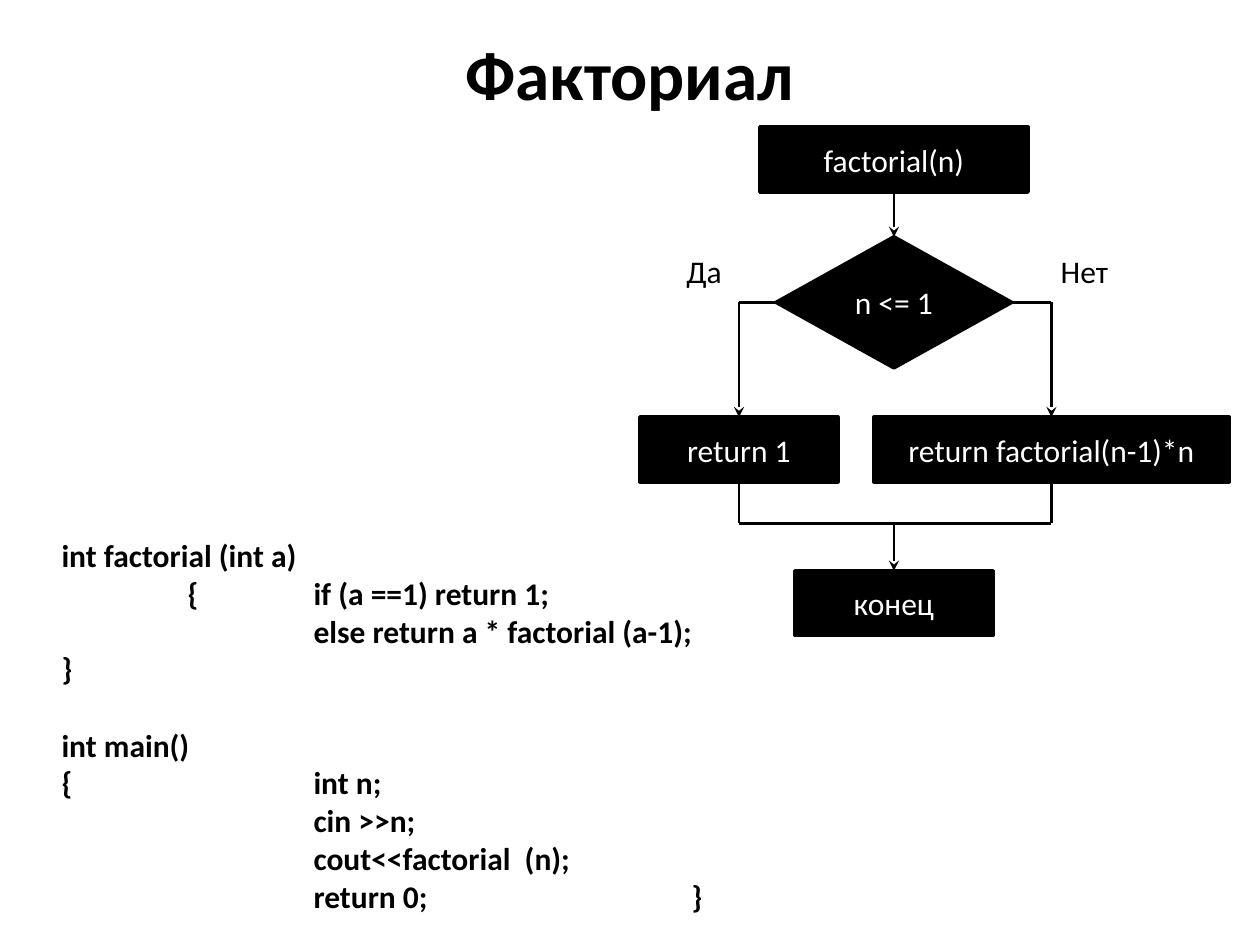
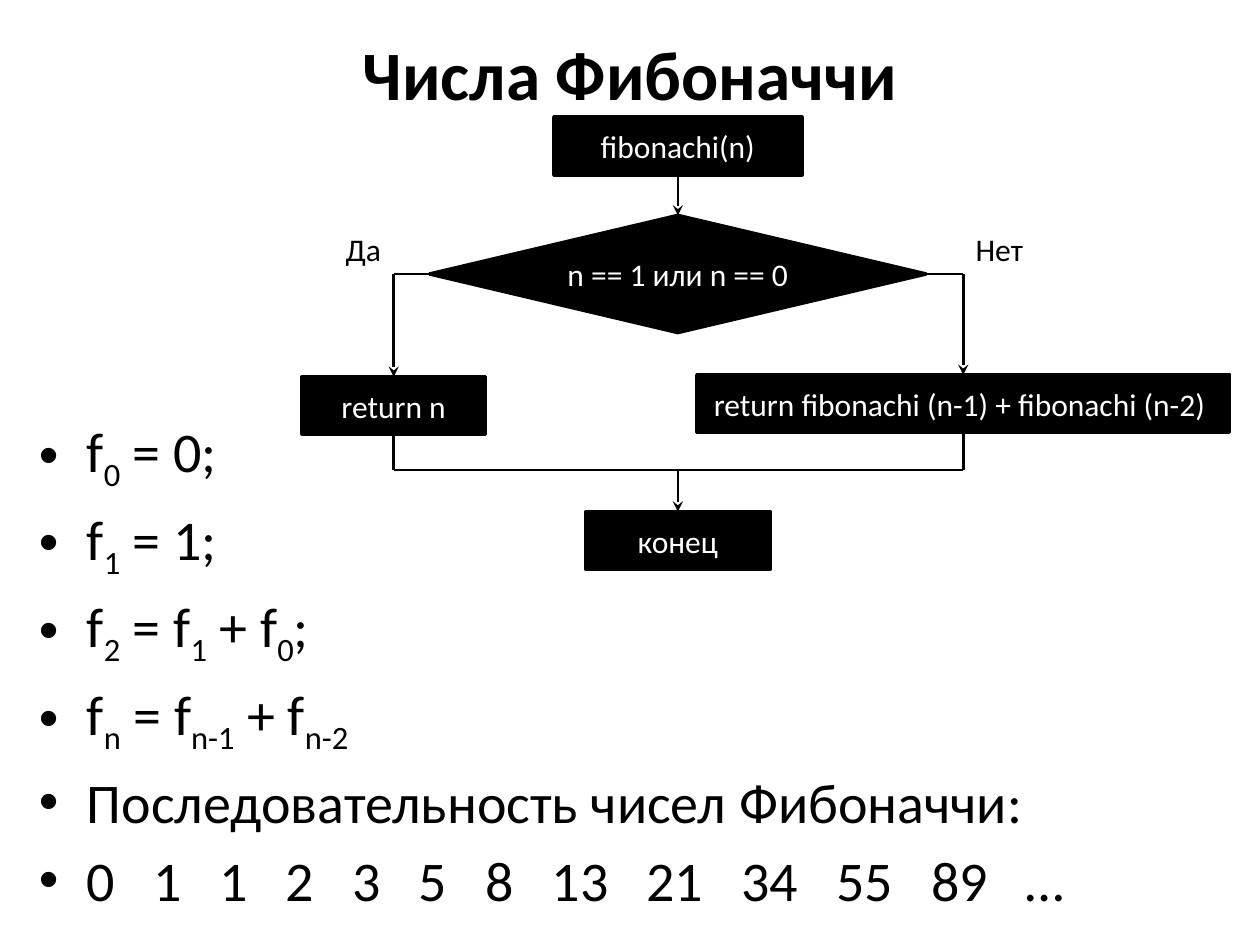
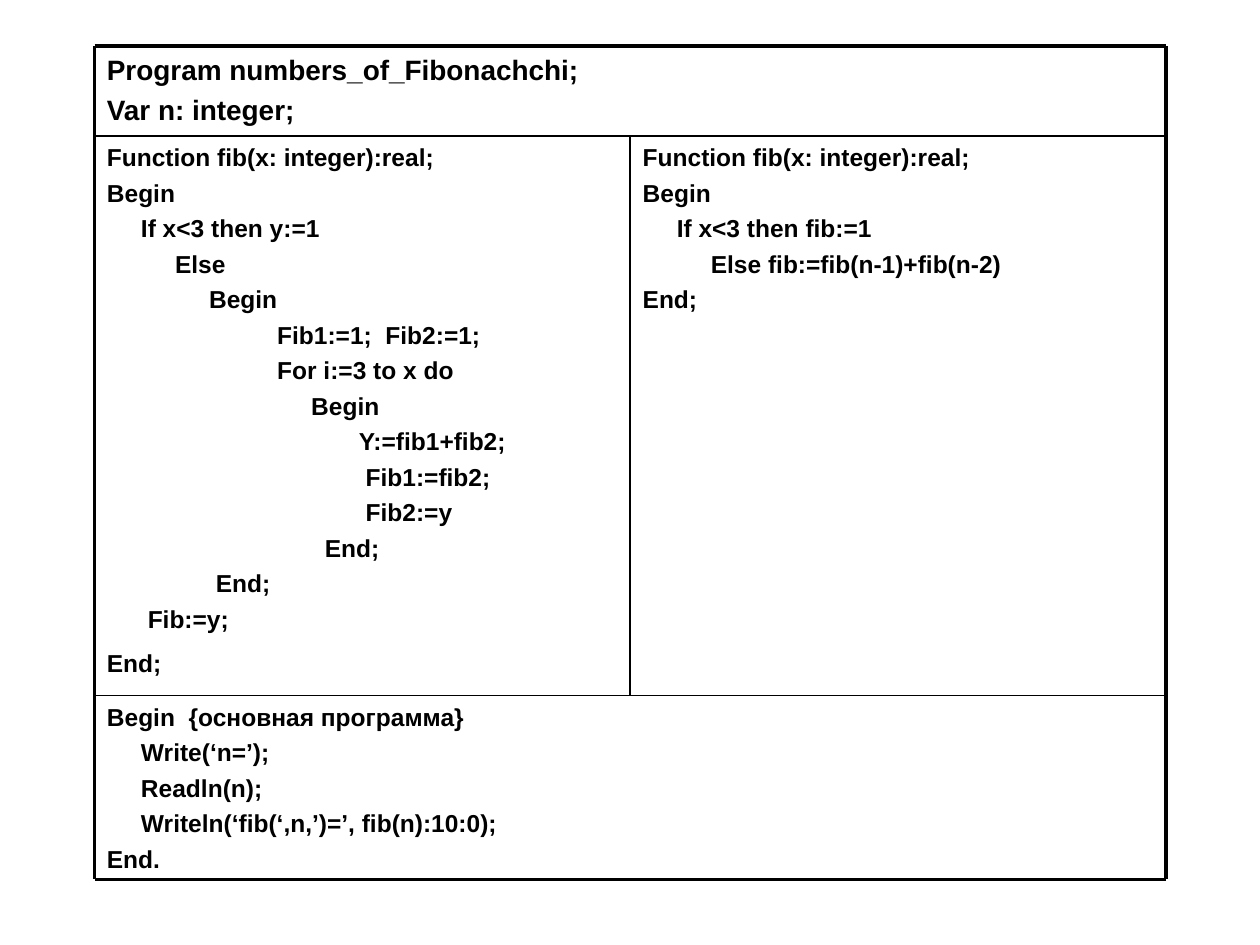
from dataclasses import dataclass

from lxml import etree
from pptx import Presentation
from pptx.dml.color import RGBColor
from pptx.enum.shapes import MSO_CONNECTOR, MSO_SHAPE
from pptx.enum.text import MSO_ANCHOR, PP_ALIGN
from pptx.oxml.ns import qn
from pptx.util import Inches, Pt

RECTANGLE = MSO_SHAPE.RECTANGLE
DECISION = MSO_SHAPE.FLOWCHART_DECISION
STRAIGHT = MSO_CONNECTOR.STRAIGHT
LEFT, CENTER = PP_ALIGN.LEFT, PP_ALIGN.CENTER
TOP, MIDDLE = MSO_ANCHOR.TOP, MSO_ANCHOR.MIDDLE
TOP_SIDE, LEFT_SIDE, BOTTOM_SIDE, RIGHT_SIDE = range(4)

COLORS = {"ink": "000000", "paper": "FFFFFF"}
SANS, CODE_FONT = "Calibri", "Arial"
SLIDE_WIDTH, SLIDE_HEIGHT = Inches(10), Inches(7.5)
COLUMN, ROW = SLIDE_WIDTH // 100, SLIDE_HEIGHT // 75
TAB_COLUMNS = range(10, 60, 10)
CODE_SPACE = 0.278
FORMULA_SPACE = 0.226


@dataclass(frozen=True)
class Area:
    left: float
    top: float
    width: float
    height: float

    @property
    def right(self) -> float:
        return self.left + self.width

    @property
    def bottom(self) -> float:
        return self.top + self.height

    @property
    def center(self) -> float:
        return self.left + self.width / 2

    @property
    def middle(self) -> float:
        return self.top + self.height / 2

    def lengths(self) -> tuple[int, int, int, int]:
        return (round(self.left * COLUMN), round(self.top * ROW),
                round(self.width * COLUMN), round(self.height * ROW))


@dataclass(frozen=True)
class Step:
    text: str
    area: Area


@dataclass(frozen=True)
class Flowchart:
    start: Step
    condition: Step
    yes: Step
    no: Step
    finish: Step
    merge_row: float
    label_height: float
    label_shift: float = 0


@dataclass(frozen=True)
class Joint:
    shape: object
    side: int


@dataclass(frozen=True)
class CodeLine:
    text: str
    indent: int = 0
    extra_lead: float = 0


@dataclass(frozen=True)
class Panel:
    area: Area
    size: int
    lines: tuple[CodeLine, ...]


@dataclass(frozen=True)
class Rule:
    begin: tuple[float, float]
    end: tuple[float, float]
    weight: float


TITLE_AREA = Area(2.75, 2.3, 94.5, 7)
FACTORIAL_CODE_AREA = Area(3.9, 42.05, 55.2, 31.3)
FORMULA_AREA = Area(2.1, 32.55, 88.1, 39.2)

FACTORIAL_CHART = Flowchart(
    start=Step("factorial(n)", Area(60.3, 10.1, 21.3, 5.15)),
    condition=Step("n <= 1", Area(61.6, 18.8, 18.7, 10.4)),
    yes=Step("return 1", Area(50.8, 33.1, 15.7, 5.15)),
    no=Step("return factorial(n-1)*n", Area(69.35, 33.1, 28.2, 5.15)),
    finish=Step("конец", Area(63.1, 45.3, 15.7, 5.15)),
    merge_row=41.55,
    label_height=4.5,
    label_shift=0.25,
)
FIBONACCI_CHART = Flowchart(
    start=Step("fibonachi(n)", Area(43.95, 9.3, 19.7, 4.6)),
    condition=Step("n == 1 или n == 0", Area(34.1, 17.1, 39.4, 9.3)),
    yes=Step("return n", Area(23.95, 29.9, 14.6, 4.6)),
    no=Step("return fibonachi (n-1) + fibonachi (n-2) ", Area(55.3, 29.75, 42.3, 4.6)),
    finish=Step("конец", Area(46.5, 40.6, 14.6, 4.6)),
    merge_row=37.3,
    label_height=4,
)

FACTORIAL_FUNCTION = (
    "int factorial (int a)",
    "\t{ \tif (a ==1) return 1;",
    "\t\telse return a * factorial (a-1);\t}",
)
FACTORIAL_MAIN = (
    "int main()",
    "{\t\tint n;",
    "\t\tcin >>n;",
    "\t\tcout<<factorial  (n);",
    "\t\treturn 0;\t\t\t}",
)
FORMULAS = (
    "f_0_ = 0;",
    "f_1_ = 1;",
    "f_2_ = f_1_ + f_0_;",
    "f_n_ = f_n-1_ + f_n-2_",
    "Последовательность чисел Фибоначчи:",
)
SEQUENCE = "0 1 1 2 3 5 8 13 21 34 55 89 …"

FRAME = Area(7.5, 3.65, 85.05, 66.15)
HEADER_ROW, MAIN_ROW = 10.8, 55.2
HALF = FRAME.width / 2
FUNCTION_HEIGHT = MAIN_ROW - HEADER_ROW

PANELS = (
    Panel(Area(FRAME.left, MAIN_ROW, FRAME.width, FRAME.bottom - MAIN_ROW), 14, (
        CodeLine("Begin  {основная программа}"),
        CodeLine("Write(‘n=’);", 5),
        CodeLine("Readln(n);", 5),
        CodeLine("Writeln(‘fib(‘,n,’)=’, fib(n):10:0);", 5),
        CodeLine("End."),
    )),
    Panel(Area(FRAME.center, HEADER_ROW, HALF, FUNCTION_HEIGHT), 14, (
        CodeLine("Function fib(x: integer):real;"),
        CodeLine("Begin"),
        CodeLine("If x<3 then fib:=1", 5),
        CodeLine("Else fib:=fib(n-1)+fib(n-2)", 10),
        CodeLine("End;"),
    )),
    Panel(Area(FRAME.left, HEADER_ROW, HALF, FUNCTION_HEIGHT), 14, (
        CodeLine("Function fib(x: integer):real;"),
        CodeLine("Begin"),
        CodeLine("If x<3 then y:=1", 5),
        CodeLine("Else", 10),
        CodeLine("Begin", 15),
        CodeLine("Fib1:=1;  Fib2:=1;", 25),
        CodeLine("For i:=3 to x do", 25),
        CodeLine("Begin", 30),
        CodeLine("Y:=fib1+fib2;", 37),
        CodeLine("Fib1:=fib2;", 38),
        CodeLine("Fib2:=y", 38),
        CodeLine("End;", 32),
        CodeLine("End;", 16),
        CodeLine("Fib:=y;", 6),
        CodeLine("End;", extra_lead=4.9),
    )),
    Panel(Area(FRAME.left, FRAME.top, FRAME.width, HEADER_ROW - FRAME.top), 16, (
        CodeLine("Program numbers_of_Fibonachchi;"),
        CodeLine("Var n: integer;"),
    )),
)
RULES = (
    *(Rule((FRAME.left, row), (FRAME.right, row), weight)
      for row, weight in ((FRAME.top, 2.25), (HEADER_ROW, 1),
                          (MAIN_ROW, 1), (FRAME.bottom, 2.25))),
    *(Rule((column, FRAME.top), (column, FRAME.bottom), 2.25)
      for column in (FRAME.left, FRAME.right)),
    Rule((FRAME.center, HEADER_ROW), (FRAME.center, MAIN_ROW), 1),
)


def color(name: str) -> RGBColor:
    return RGBColor.from_string(COLORS[name])


def format_runs(paragraph, size: float, ink: str = "ink", bold: bool = False,
                font: str = SANS) -> None:
    for run in paragraph.runs:
        run.font.size = Pt(size)
        run.font.name = font
        run.font.bold = bold
        run.font.color.rgb = color(ink)


def add_text(slide, area: Area, text: str, size: float, bold: bool = False,
             align=LEFT, anchor=TOP, wrap: bool = True):
    frame = slide.shapes.add_textbox(*area.lengths()).text_frame
    frame.word_wrap = wrap
    frame.vertical_anchor = anchor
    frame.text = text
    for paragraph in frame.paragraphs:
        paragraph.alignment = align
        format_runs(paragraph, size, bold=bold)
    return frame


def add_title(slide, text: str) -> None:
    add_text(slide, TITLE_AREA, text, 39.6, True, CENTER, MIDDLE)


def add_block(slide, kind, area: Area, fill: str):
    block = slide.shapes.add_shape(kind, *area.lengths())
    block.shadow.inherit = False
    block.fill.solid()
    block.fill.fore_color.rgb = color(fill)
    return block


def add_step(slide, step: Step, kind=RECTANGLE):
    block = add_block(slide, kind, step.area, "ink")
    block.line.color.rgb = color("ink")
    block.line.width = Pt(2)
    block.text_frame.text = step.text
    paragraph = block.text_frame.paragraphs[0]
    paragraph.alignment = CENTER
    format_runs(paragraph, 18, "paper")
    return block


def add_line(slide, begin: tuple[float, float], end: tuple[float, float],
             weight: float = 1.5, arrow: bool = False,
             leaving: Joint | None = None, entering: Joint | None = None) -> None:
    (x1, y1), (x2, y2) = begin, end
    line = slide.shapes.add_connector(
        STRAIGHT, round(x1 * COLUMN), round(y1 * ROW),
        round(x2 * COLUMN), round(y2 * ROW))
    line.line.color.rgb = color("ink")
    line.line.width = Pt(weight)
    properties = line.element.spPr
    if arrow:
        etree.SubElement(properties.find(qn("a:ln")), qn("a:tailEnd"), type="stealth")
    etree.SubElement(properties, qn("a:effectLst"))
    if leaving:
        line.begin_connect(leaving.shape, leaving.side)
    if entering:
        line.end_connect(entering.shape, entering.side)


def add_flowchart(slide, chart: Flowchart) -> None:
    start = add_step(slide, chart.start)
    finish = add_step(slide, chart.finish)
    condition = add_step(slide, chart.condition, DECISION)
    trunk, fork = chart.condition.area.center, chart.condition.area.middle
    merge = chart.merge_row

    add_line(slide, (trunk, chart.start.area.bottom), (trunk, chart.condition.area.top),
             arrow=True, leaving=Joint(start, BOTTOM_SIDE),
             entering=Joint(condition, TOP_SIDE))
    for step, side, edge in ((chart.yes, LEFT_SIDE, chart.condition.area.left),
                             (chart.no, RIGHT_SIDE, chart.condition.area.right)):
        branch = add_step(slide, step)
        column = step.area.center
        add_line(slide, (edge, fork), (column, fork), leaving=Joint(condition, side))
        add_line(slide, (column, fork), (column, step.area.top), arrow=True,
                 entering=Joint(branch, TOP_SIDE))
        add_line(slide, (column, step.area.bottom), (column, merge),
                 leaving=Joint(branch, BOTTOM_SIDE))
    add_line(slide, (chart.yes.area.center, merge), (chart.no.area.center, merge))
    add_line(slide, (trunk, merge), (trunk, chart.finish.area.top), arrow=True,
             entering=Joint(finish, TOP_SIDE))

    height, shift = chart.label_height, chart.label_shift
    yes_width, no_width = height * 1.2, height * 1.5
    yes_left = chart.yes.area.center - yes_width + shift
    no_left = chart.no.area.center - shift
    for text, left, width in (("Да", yes_left, yes_width), ("Нет", no_left, no_width)):
        add_text(slide, Area(left, fork - height, width, height), text, 18, wrap=False)


def add_formula_runs(paragraph, formula: str) -> None:
    for index, part in enumerate(formula.split("_")):
        if part:
            run = paragraph.add_run()
            run.text = part
            if index % 2:
                run._r.get_or_add_rPr().set("baseline", "-25000")


def add_sequence_runs(paragraph, size: int) -> None:
    for index, number in enumerate(SEQUENCE.split()):
        if index:
            gap = paragraph.add_run()
            gap.text = " "
            gap._r.get_or_add_rPr().set("spc", str(round(200 * FORMULA_SPACE * size)))
        paragraph.add_run().text = number


def add_formulas(slide, size: int = 32) -> None:
    frame = add_text(slide, FORMULA_AREA, "", size)
    for index in range(len(FORMULAS) + 1):
        paragraph = frame.add_paragraph() if index else frame.paragraphs[0]
        if index < len(FORMULAS):
            add_formula_runs(paragraph, FORMULAS[index])
        else:
            add_sequence_runs(paragraph, size)
        format_runs(paragraph, size)
        paragraph.space_before = Pt(size * 0.2 if index else 0)
        properties = paragraph._p.get_or_add_pPr()
        properties.set("marL", str(Inches(0.38)))
        properties.set("indent", str(-Inches(0.38)))
        etree.SubElement(properties, qn("a:buFont"), typeface=CODE_FONT)
        etree.SubElement(properties, qn("a:buChar"), char="•")


def add_factorial_code(slide) -> None:
    frame = add_text(slide, FACTORIAL_CODE_AREA,
                     "\n".join(FACTORIAL_FUNCTION + FACTORIAL_MAIN), 18, True)
    frame.paragraphs[len(FACTORIAL_FUNCTION)].space_before = Pt(22)
    for paragraph in frame.paragraphs:
        stops = etree.SubElement(paragraph._p.get_or_add_pPr(), qn("a:tabLst"))
        for column in TAB_COLUMNS:
            etree.SubElement(stops, qn("a:tab"), pos=str(column * COLUMN), algn="l")


def add_panel(slide, panel: Panel) -> None:
    block = add_block(slide, RECTANGLE, panel.area, "paper")
    block.line.fill.background()
    frame = block.text_frame
    frame.vertical_anchor = TOP
    frame.text = "\n".join(line.text for line in panel.lines)
    for index, (paragraph, line) in enumerate(zip(frame.paragraphs, panel.lines)):
        paragraph.alignment = LEFT
        paragraph.space_before = Pt(panel.size / 4 + line.extra_lead if index else 0)
        indent = Pt(line.indent * CODE_SPACE * panel.size)
        paragraph._p.get_or_add_pPr().set("marL", str(indent))
        format_runs(paragraph, panel.size, bold=True, font=CODE_FONT)


def build_factorial(slide) -> None:
    add_title(slide, "Факториал")
    add_flowchart(slide, FACTORIAL_CHART)
    add_factorial_code(slide)


def build_fibonacci(slide) -> None:
    add_title(slide, "Числа Фибоначчи")
    add_formulas(slide)
    add_flowchart(slide, FIBONACCI_CHART)


def build_program(slide) -> None:
    for panel in PANELS:
        add_panel(slide, panel)
    for rule in RULES:
        add_line(slide, rule.begin, rule.end, rule.weight)


def main() -> None:
    deck = Presentation()
    deck.slide_width, deck.slide_height = SLIDE_WIDTH, SLIDE_HEIGHT
    blank = deck.slide_layouts[6]
    for build in (build_factorial, build_fibonacci, build_program):
        build(deck.slides.add_slide(blank))
    deck.save("out.pptx")


if __name__ == "__main__":
    main()
